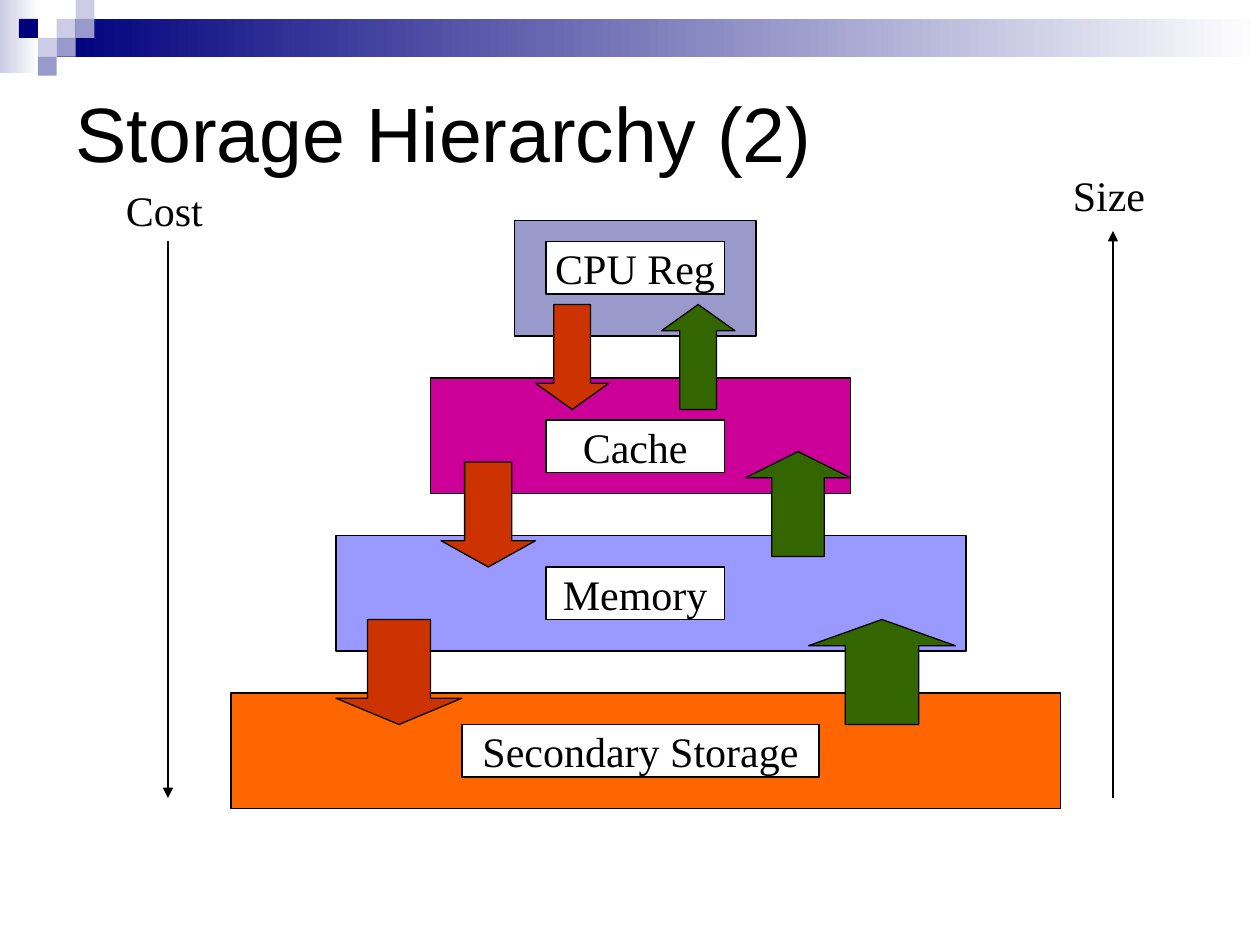
from dataclasses import dataclass
from pptx import Presentation
from pptx.dml.color import RGBColor as Rgb
from pptx.enum.shapes import MSO_CONNECTOR as Link, MSO_SHAPE as Form
from pptx.enum.text import MSO_ANCHOR as Anchor, MSO_AUTO_SIZE as Fit, PP_ALIGN as Align
from pptx.oxml import parse_xml
from pptx.oxml.ns import nsdecls
from pptx.util import Inches, Pt


@dataclass(frozen=True)
class Theme:
    ink: str = "000000"
    paper: str = "FFFFFF"
    navy: str = "00007D"
    mist: str = "CCCCE6"
    slate: str = "9999CC"
    pink: str = "CC0099"
    blue: str = "9999FF"
    orange: str = "FF6600"
    red: str = "CC3300"
    green: str = "336600"
    head: str = "Arial"
    body: str = "Times New Roman"
    big: int = 44
    mid: int = 24
    rule: float = 0.75


def put(item, vals):
    for key, val in vals.items():
        setattr(item, key, val)


class Deck:
    cols, rows = 120, 90

    def __init__(self, theme):
        self.theme = theme
        self.pres = Presentation()
        put(self.pres, {"slide_width": Inches(10), "slide_height": Inches(7.5)})
        self.page = self.pres.slides.add_slide(self.pres.slide_layouts[5])

    def span(self, *vals):
        sides = self.pres.slide_width / self.cols, self.pres.slide_height / self.rows
        return [round(val * sides[i % 2]) for i, val in enumerate(vals)]

    def letter(self, frame, text, face, size, align, **form):
        put(frame, form)
        para = frame.paragraphs[0]
        para.text = text
        para.alignment = align
        put(para.font, {"name": face, "size": Pt(size)})
        para.font.color.rgb = Rgb.from_string(self.theme.ink)

    def title(self, text, *area):
        item = self.page.shapes.title
        put(item, dict(zip(("left", "top", "width", "height"), self.span(*area))))
        self.letter(item.text_frame, text, self.theme.head, self.theme.big, Align.LEFT,
                    vertical_anchor=Anchor.MIDDLE, auto_size=Fit.NONE)

    def shape(self, area, tint, kind=Form.RECTANGLE, edge=True):
        item = self.page.shapes.add_shape(kind, *self.span(*area))
        item.shadow.inherit = False
        item.fill.solid()
        item.fill.fore_color.rgb = Rgb.from_string(tint)
        if edge:
            self.ink(item.line)
        else:
            item.line.fill.background()
        return item

    def ink(self, line):
        line.color.rgb = Rgb.from_string(self.theme.ink)
        line.width = Pt(self.theme.rule)

    def fade(self, area, tint):
        fill = self.shape(area, tint, edge=False).fill
        fill.gradient()
        fill.gradient_angle = 0
        for stop, hue in zip(fill.gradient_stops, (tint, self.theme.paper)):
            stop.color.rgb = Rgb.from_string(hue)

    def arrow(self, kind, left, top, width, tint):
        item = self.shape((left, top, width, 10), tint, kind)
        item.adjustments[0] = 0.5
        item.adjustments[1] = 2.5 / min(width, 10)

    def label(self, text, left, top, width):
        item = self.shape((left, top, width, 5), self.theme.paper)
        self.letter(item.text_frame, text, self.theme.body, self.theme.mid, Align.CENTER,
                    vertical_anchor=Anchor.MIDDLE, word_wrap=False)

    def note(self, text, area, wrap):
        item = self.page.shapes.add_textbox(*self.span(*area))
        self.letter(item.text_frame, text, self.theme.body, self.theme.mid, Align.LEFT,
                    word_wrap=wrap, auto_size=Fit.SHAPE_TO_FIT_TEXT)

    def axis(self, *ends):
        item = self.page.shapes.add_connector(Link.STRAIGHT, *self.span(*ends))
        self.ink(item.line)
        props = item._element.spPr
        props.ln.append(parse_xml(f'<a:tailEnd {nsdecls("a")} type="triangle"/>'))
        props.append(parse_xml(f'<a:effectLst {nsdecls("a")}/>'))


def main():
    look = Theme()
    deck = Deck(look)
    tile = 1.8

    deck.fade((0, 0, 3.7, 7), look.mist)
    deck.fade((3 * tile, tile, 120 - 3 * tile, 2 * tile), look.navy)
    tiles = {look.mist: [(3, 1), (4, 0), (2, 2)],
             look.slate: [(4, 1), (3, 2), (2, 3)],
             look.navy: [(1, 1)]}
    for tint, spots in tiles.items():
        for col, row in spots:
            deck.shape((col * tile, row * tile, tile, tile), tint, edge=False)

    deck.title("Storage Hierarchy (2)", 6, 6, 108, 13)

    tiers = [(49, 23, look.slate), (41, 40, look.pink),
             (32, 60, look.blue), (22, 79, look.orange)]
    for i, (left, width, tint) in enumerate(tiers):
        deck.shape((left, 21 + 15 * i, width, 11), tint)

    for left, top, width in [(51, 29, 7), (42, 44, 9), (32, 59, 12)]:
        deck.arrow(Form.DOWN_ARROW, left, top, width, look.red)
    for left, top, width in [(77, 59, 14), (71, 43, 10), (63, 29, 7)]:
        deck.arrow(Form.UP_ARROW, left, top, width, look.green)

    deck.note("Cost", (10.8, 17, 9.7, 20.4), False)
    deck.note("Size", (101, 15.6, 18, 25.2), True)

    for text, left, top, width in [("CPU Reg", 52, 23, 17), ("Cache", 52, 40, 17),
                                   ("Memory", 52, 54, 17),
                                   ("Secondary Storage", 44, 69, 34)]:
        deck.label(text, left, top, width)

    deck.axis(16, 23, 16, 76)
    deck.axis(106, 76, 106, 22)
    deck.pres.save("out.pptx")


if __name__ == "__main__":
    main()
